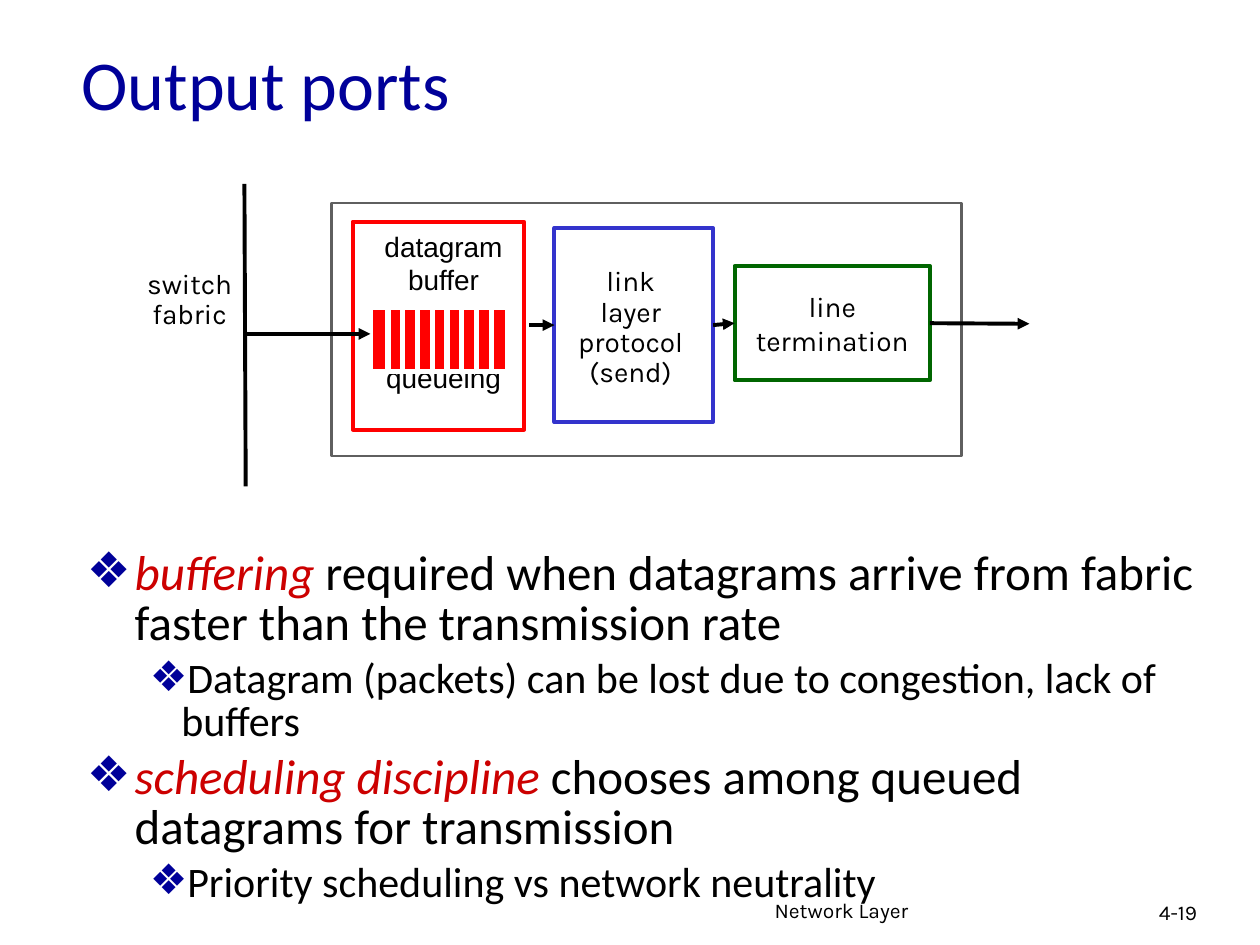
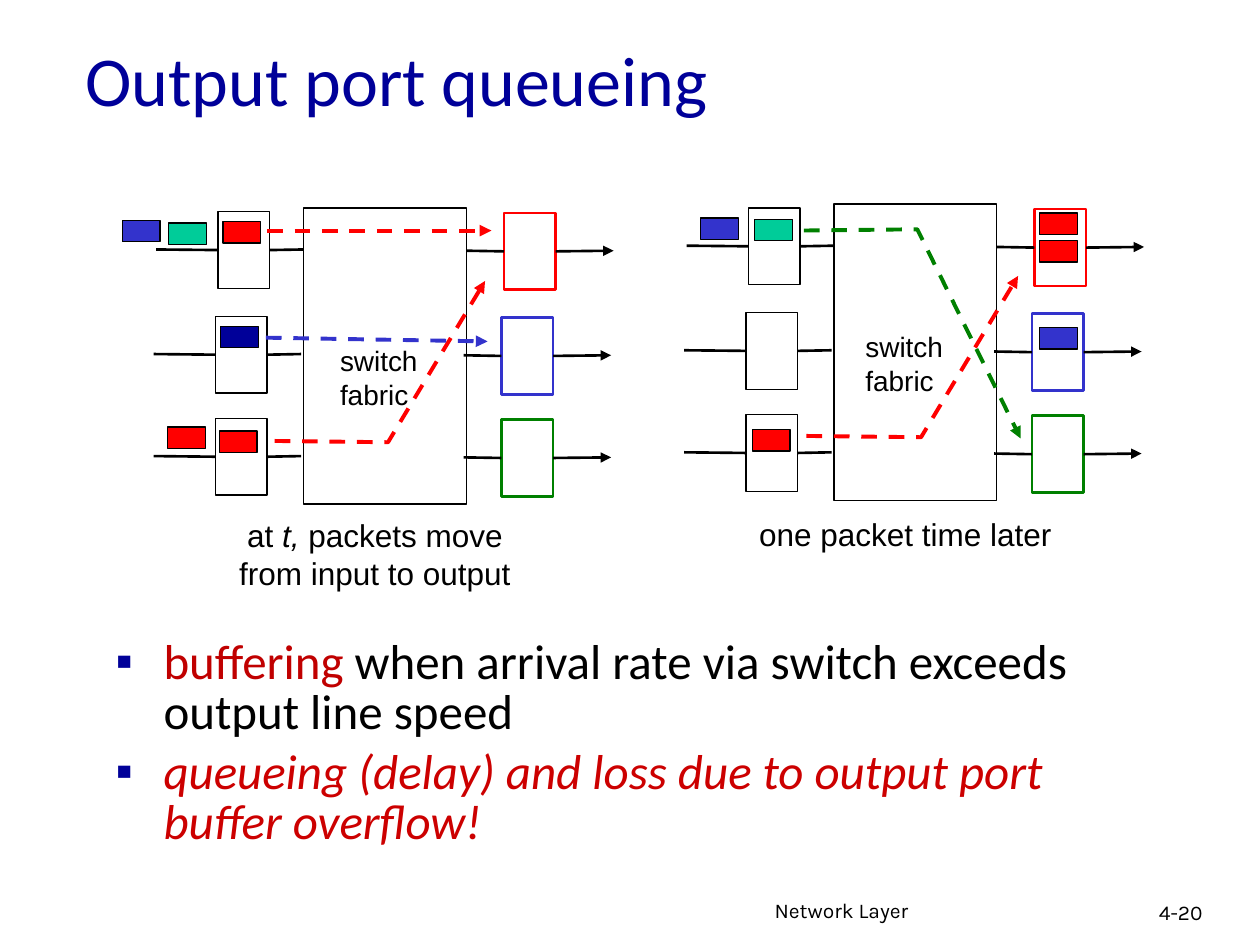
import pptx
import pptx.dml.color
import pptx.enum.dml
import pptx.enum.shapes
import pptx.enum.text
import pptx.oxml.ns
import pptx.util
from lxml import etree
from pptx.util import Inches

# ---- Shared style ----
COLORS = {
    "black": "000000", "white": "FFFFFF", "navy": "000099", "emphasis": "CC0000",
    "dark_red": "C00000", "red": "FF0000", "blue": "3333CC", "green": "008000",
    "forest": "006600", "teal": "00CC99", "gray": "5F5F5F",
}
FOOTER = "Network Layer"
FOOTER_BOX = (6.05, 7.07, 3.17, 0.31)
NUMBER_BOX = (9.1, 7.09, 0.74, 0.3)
BULLET_LEVELS = [(0.38, -0.38, 28), (0.75, -0.25, 24)]  # margin, indent, size
ALIGN = pptx.enum.text.PP_ALIGN
ANCHOR = pptx.enum.text.MSO_ANCHOR

# ---- Content: output ports ----
PORTS = {
    "title": ("Output ports", (0.55, 0.28, 8.5, 0.75)),
    "number": "4-19",
    "body_box": (0.59, 4.32, 8.99, 1),
    "bullet": "❖",
    "body": [  # level, runs of (text, colour, italic)
        (0, [("buffering", "emphasis", True),
             (" required when datagrams arrive from fabric faster than the "
              "transmission rate", "black", False)]),
        (1, [("Datagram (packets) can be lost due to congestion, lack of buffers",
              "black", False)]),
        (0, [("scheduling discipline", "emphasis", True),
             (" chooses among queued datagrams for transmission", "black", False)]),
        (1, [("Priority scheduling vs network neutrality", "black", False)]),
    ],
}
STRIPE_COUNT, STRIPE_LEFT, STRIPE_GAP = 8, 3.08, 0.117

# ---- Content: output port queueing ----
QUEUEING = {
    "title": ("Output port queueing", (0.58, 0.22, 8.5, 0.8)),
    "number": "4-20",
    "body_box": (0.82, 5.03, 8.5, 1.3),
    "bullet": "▪",
    "body": [
        (0, [("buffering", "dark_red", False),
             (" when arrival rate via switch exceeds output line speed",
              "black", False)]),
        (0, [("queueing (delay) and loss due to output port buffer overflow!",
              "emphasis", True)]),
    ],
}
PORT_ROWS = [(0, 0), (-0.02, 0.83), (-0.02, 1.64)]  # shift of each row of ports
OUTPUT_COLORS = ["red", "blue", "green"]
PORT_SIZE = (0.41, 0.61)
PACKET_SIZE = (0.3, 0.17)
PANELS = [
    {
        "origin": (2.41, 1.65),
        "label": (2.6, 2.68),
        "packets": [(1.77, 1.76, "red"), (1.75, 2.59, "navy"), (1.74, 3.42, "red"),
                    (1.34, 1.77, "teal"), (1.33, 3.39, "red"), (0.97, 1.75, "blue")],
        "routes": [("red", [(2.12, 1.83), (3.9, 1.83)]),
                   ("red", [(2.18, 3.5), (3.08, 3.51), (3.85, 2.23)]),
                   ("blue", [(2.11, 2.68), (3.87, 2.71)])],
        "caption_box": (1.63, 4.05, 2.69, 0.7),
        "caption": [[("at ", False), ("t,", True), (" packets move", False)],
                    [("from input to output", False)]],
    },
    {
        "origin": (6.62, 1.62),
        "label": (6.77, 2.57),
        "packets": [(8.25, 1.69, "red"), (8.25, 2.6, "blue"), (8.25, 1.91, "red"),
                    (5.99, 1.74, "teal"), (5.97, 3.41, "red"), (5.56, 1.73, "blue")],
        "routes": [("red", [(6.4, 3.46), (7.31, 3.47), (8.08, 2.19)]),
                   ("green", [(6.38, 1.83), (7.28, 1.82), (8.1, 3.48)])],
        "caption_box": (5.84, 4.04, 2.69, 0.4),
        "caption": [[("one packet time later", False)]],
    },
]


# ---- Drawing helpers ----
def rgb(name):
    return pptx.dml.color.RGBColor.from_string(COLORS[name])


def style_line(line, color, width, arrow=False, dashed=False):
    line.color.rgb = rgb(color)
    line.width = pptx.util.Pt(width)
    if dashed:
        line.dash_style = pptx.enum.dml.MSO_LINE.DASH
    if arrow:
        properties = line.fill._xPr
        etree.SubElement(properties, pptx.oxml.ns.qn("a:tailEnd"), type="triangle")


def add_run(paragraph, text, size, font, color="black", italic=False):
    run = paragraph.add_run()
    run.text = text
    run.font.size = pptx.util.Pt(size)
    run.font.name = font
    run.font.color.rgb = rgb(color)
    run.font.italic = italic


def next_paragraph(frame, index):
    return frame.paragraphs[0] if index == 0 else frame.add_paragraph()


def write_lines(shape, lines, size, font, color="black", align=ALIGN.LEFT,
                anchor=ANCHOR.TOP, wrap=True, spacing=None):
    """Each line is a list of (text, italic) runs."""
    frame = shape.text_frame
    frame.word_wrap = wrap
    frame.vertical_anchor = anchor
    for index, runs in enumerate(lines):
        paragraph = next_paragraph(frame, index)
        paragraph.alignment = align
        paragraph.line_spacing = spacing
        for text, italic in runs:
            add_run(paragraph, text, size, font, color, italic)
    return frame


def plain(*texts):
    return [[(text, False)] for text in texts]


def add_text(slide, box, lines, size, font, **options):
    shape = slide.shapes.add_textbox(*map(Inches, box))
    return write_lines(shape, lines, size, font, **options)


def add_box(slide, box, fill="white", line=None):
    shape = slide.shapes.add_shape(
        pptx.enum.shapes.MSO_SHAPE.RECTANGLE, *map(Inches, box))
    shape.shadow.inherit = False
    shape.fill.solid()
    shape.fill.fore_color.rgb = rgb(fill)
    if line:
        style_line(shape.line, *line)
    else:
        shape.line.fill.background()
    return shape


def add_label_box(slide, box, texts, spacing=None, line=None):
    shape = add_box(slide, box, line=line)
    write_lines(shape, plain(*texts), 16, "Karla", align=ALIGN.CENTER,
                anchor=ANCHOR.MIDDLE, wrap=False, spacing=spacing)
    return shape


def add_line(slide, start, end, color="black", width=2.25, arrow=False,
             dashed=False, from_box=None, to_box=None):
    connector = slide.shapes.add_connector(
        pptx.enum.shapes.MSO_CONNECTOR.STRAIGHT, *map(Inches, start + end))
    if from_box is not None:
        connector.begin_connect(from_box, 3)
    if to_box is not None:
        connector.end_connect(to_box, 1)
    style_line(connector.line, color, width, arrow, dashed)
    etree.SubElement(connector._element.spPr, pptx.oxml.ns.qn("a:effectLst"))


def add_route(slide, color, points):
    if len(points) == 2:
        add_line(slide, *points, color=color, arrow=True, dashed=True)
        return
    corners = [tuple(map(Inches, point)) for point in points]
    builder = slide.shapes.build_freeform(*corners[0])
    builder.add_line_segments(corners[1:], close=False)
    shape = builder.convert_to_shape()
    shape.shadow.inherit = False
    shape.fill.background()
    style_line(shape.line, color, 2.25, arrow=True, dashed=True)


def add_bullet(paragraph, level, symbol):
    margin, indent, size = BULLET_LEVELS[level]
    paragraph.level = level
    paragraph.line_spacing = 0.85
    paragraph.space_before = pptx.util.Pt(size * 0.2)
    properties = paragraph._p.get_or_add_pPr()
    properties.set("marL", str(Inches(margin)))
    properties.set("indent", str(Inches(indent)))
    color = etree.SubElement(properties, pptx.oxml.ns.qn("a:buClr"))
    etree.SubElement(color, pptx.oxml.ns.qn("a:srgbClr"), val=COLORS["navy"])
    etree.SubElement(properties, pptx.oxml.ns.qn("a:buFont"), typeface="Arial")
    etree.SubElement(properties, pptx.oxml.ns.qn("a:buChar"), char=symbol)
    return size


def start_slide(presentation, content):
    """Add a slide with footer, number, title and bulleted body."""
    slide = presentation.slides.add_slide(presentation.slide_layouts[6])
    add_text(slide, FOOTER_BOX, plain(FOOTER), 12, "Karla")
    add_text(slide, NUMBER_BOX, plain(content["number"]), 12, "Karla")
    title, title_box = content["title"]
    add_text(slide, title_box, plain(title), 40, "Calibri", color="navy",
             anchor=ANCHOR.MIDDLE)
    body = add_text(slide, content["body_box"], [], 28, "Calibri")
    for index, (level, runs) in enumerate(content["body"]):
        paragraph = next_paragraph(body, index)
        size = add_bullet(paragraph, level, content["bullet"])
        for text, color, italic in runs:
            add_run(paragraph, text, size, "Calibri", color, italic)
    return slide


# ---- Output ports ----
def build_ports(presentation):
    slide = start_slide(presentation, PORTS)
    add_box(slide, (2.63, 1.61, 5, 2.01), line=("gray", 1.5))
    termination = add_label_box(slide, (5.83, 2.11, 1.55, 0.91),
                                ["line", "termination"], line=("forest", 2.25))
    link = add_box(slide, (4.4, 1.81, 1.26, 1.54), line=("blue", 2.25))
    add_line(slide, (4.2, 2.58), (4.4, 2.58), arrow=True, to_box=link)
    add_line(slide, (5.66, 2.58), (5.83, 2.57), arrow=True,
             from_box=link, to_box=termination)
    add_line(slide, (7.38, 2.57), (8.17, 2.57), arrow=True, from_box=termination)
    add_label_box(slide, (4.43, 2.15, 1.15, 0.91),
                  ["link", "layer", "protocol", "(send)"], 0.9)
    add_label_box(slide, (0.93, 1.93, 1.15, 0.91), ["switch", "fabric"], 0.9)

    # Datagram buffer with its queue
    add_box(slide, (2.8, 1.76, 1.36, 1.65), line=("red", 2.25))
    frame = add_text(slide, (2.89, 1.77, 1.26, 1.6),
                     plain("datagram", "buffer", "queueing"), 16, "Arial",
                     align=ALIGN.CENTER, wrap=False)
    frame.paragraphs[2].space_before = pptx.util.Pt(36.8)
    add_box(slide, (2.94, 2.44, 1.09, 0.51), "red", ("white", 3))
    for index in range(STRIPE_COUNT):
        left = STRIPE_LEFT + index * STRIPE_GAP
        add_line(slide, (left, 2.45), (left, 2.94), "white", 3)

    # Switch fabric
    add_line(slide, (1.94, 1.46), (1.95, 3.86))
    add_line(slide, (1.93, 2.65), (2.94, 2.65), arrow=True)


# ---- Output port queueing ----
def add_panel(slide, panel):
    left, top = panel["origin"]
    add_box(slide, (left, top, 1.29, 2.35), line=("black", 0.75))
    for (shift, drop), color in zip(PORT_ROWS, OUTPUT_COLORS):
        x, y = left + shift, top + drop
        input_port = add_box(slide, (x - 0.68, y + 0.03, *PORT_SIZE),
                             line=("black", 0.75))
        output_port = add_box(slide, (x + 1.59, y + 0.04, *PORT_SIZE),
                              line=(color, 1.5))
        input_y, output_y = y + 0.33, y + 0.34
        add_line(slide, (x - 1.17, input_y), (x - 0.68, input_y), width=1.5,
                 to_box=input_port)
        add_line(slide, (x - 0.27, input_y), (x, input_y), width=1.5,
                 from_box=input_port)
        add_line(slide, (x + 1.29, output_y), (x + 1.59, output_y), width=1.5,
                 to_box=output_port)
        add_line(slide, (x + 2, output_y), (x + 2.46, output_y), width=1.5,
                 arrow=True, from_box=output_port)
    for x, y, color in panel["packets"]:
        add_box(slide, (x, y, *PACKET_SIZE), color, ("black", 0.75))
    add_text(slide, (*panel["label"], 0.82, 0.64), plain("switch", "fabric"),
             16, "Arial", wrap=False)
    for color, points in panel["routes"]:
        add_route(slide, color, points)
    add_text(slide, panel["caption_box"], panel["caption"], 18, "Arial",
             align=ALIGN.CENTER)


def build_queueing(presentation):
    slide = start_slide(presentation, QUEUEING)
    for panel in PANELS:
        add_panel(slide, panel)


def main():
    presentation = pptx.Presentation()
    presentation.slide_width = Inches(10)
    presentation.slide_height = Inches(7.5)
    build_ports(presentation)
    build_queueing(presentation)
    presentation.save("out.pptx")


if __name__ == "__main__":
    main()
